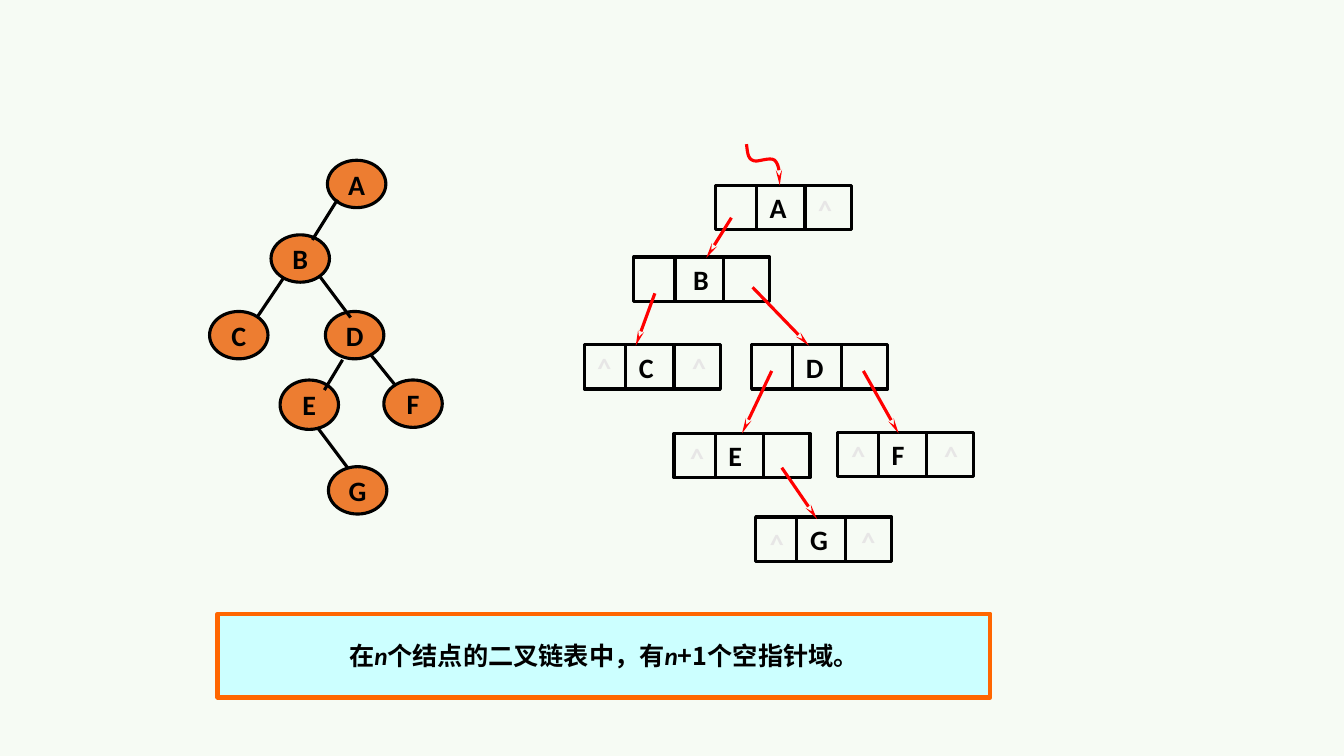
from lxml import etree
from pptx import Presentation
from pptx import util as u
from pptx.dml import color
from pptx.enum import shapes, text
from pptx.oxml import ns

PX = 9144
COLORS = {
    "back": "F6FBF4",
    "node": "ED7D31",
    "ink": "000000",
    "pointer": "FF0000",
    "null": "E7E6E6",
    "note": "CCFFFF",
    "frame": "FF6600",
}
LATIN, HAN = "Calibri", "Noto Sans CJK SC"

TREE_NODES = {
    "A": (325, 159, 47), "B": (269, 233, 47), "C": (208, 309, 47),
    "D": (323, 309, 47), "E": (278, 377, 49), "F": (381, 377, 47),
    "G": (326, 463, 47),
}
TREE_EDGES = [
    (335, 198, 310, 238), (282, 275, 255, 315), (318, 275, 348, 315),
    (340, 357, 322, 387), (368, 352, 393, 383), (315, 424, 345, 464),
]
RECORD_W, RECORD_H = 135, 44
DIVIDERS = (41, 89)
RECORDS = {
    "A": (710, 184, 54), "B": (629, 255, 59), "C": (580, 342, 54),
    "D": (746, 342, 54), "E": (669, 430, 54), "F": (831, 429, 54),
    "G": (750, 513, 54),
}
POINTERS = [
    ("B", 726, 216, 701, 256), ("C", 650, 291, 631, 343),
    ("D", 747, 285, 803, 343), ("E", 766, 368, 735, 430),
    ("F", 857, 368, 892, 430), ("G", 776, 464, 811, 515),
]
NULLS = [
    (802, 186), (583, 342), (677, 342), (675, 432),
    (835, 430), (927, 430), (754, 517), (845, 515),
]
ROOT_CURVES = [
    ((741, 143), (742, 150), (742, 157), (747, 159)),
    ((747, 159), (751, 162), (764, 155), (769, 159)),
    ((769, 159), (774, 164), (774, 174), (774, 184)),
]


def px(*values):
    return [u.Emu(round(v * PX)) for v in values]


def rgb(name):
    return color.RGBColor.from_string(COLORS[name])


def add_text(p, words, size=20, font=LATIN, ink="ink", italic=False):
    r = p.add_run()
    r.text = words
    r.font.size = u.Pt(size)
    r.font.name = font
    r.font.bold = True
    r.font.italic = italic
    r.font.color.rgb = rgb(ink)
    if font == HAN:
        etree.SubElement(r._r.rPr, ns.qn("a:ea"), typeface=font)


def prepare(tf, left=0, align=text.PP_ALIGN.CENTER):
    tf.margin_left, = px(left)
    tf.margin_right = tf.margin_top = tf.margin_bottom = 0
    tf.vertical_anchor = text.MSO_ANCHOR.MIDDLE
    tf.word_wrap = True
    p = tf.paragraphs[0]
    p.alignment = align
    return p


def set_line(sp, ink="ink", width=2.25, arrow=False):
    sp.line.color.rgb = rgb(ink)
    sp.line.width = u.Pt(width)
    if arrow:
        ln = sp.line._get_or_add_ln()
        etree.SubElement(ln, ns.qn("a:tailEnd"), type="stealth", w="sm", len="lg")


def add_box(group, kind, box, fill=None, ink="ink", width=2.25):
    sp = group.add_shape(kind, *px(*box))
    sp.shadow.inherit = False
    if fill:
        sp.fill.solid()
        sp.fill.fore_color.rgb = rgb(fill)
    else:
        sp.fill.background()
    set_line(sp, ink, width)
    return sp


def add_line(group, ends, ink="ink", arrow=False):
    line = group.add_connector(shapes.MSO_CONNECTOR.STRAIGHT, *px(*ends))
    set_line(line, ink, arrow=arrow)
    etree.SubElement(line._element.spPr, ns.qn("a:effectLst"))
    return line


def add_tree(group):
    for name, (x, y, h) in TREE_NODES.items():
        sp = add_box(group, shapes.MSO_SHAPE.OVAL, (x, y, 58, h), "node")
        add_text(prepare(sp.text_frame), name)
    for ends in TREE_EDGES:
        add_line(group, ends)


def add_record(group, name, x, y, indent):
    sp = add_box(group, shapes.MSO_SHAPE.RECTANGLE, (x, y, RECORD_W, RECORD_H))
    add_text(prepare(sp.text_frame, indent, text.PP_ALIGN.LEFT), name)
    for dx in DIVIDERS:
        add_line(group, (x + dx, y, x + dx, y + RECORD_H))
    return sp


def add_pointer(group, target, ends):
    line = add_line(group, ends, "pointer", arrow=True)
    middle = target.left + target.width / 2
    if abs(line.end_x - middle) < 2 * PX:
        line.end_connect(target, 0)


def add_null(group, x, y):
    sp = group.add_textbox(*px(x, y, 34, 44))
    add_text(prepare(sp.text_frame), "^", ink="null")


def bezier(points, t):
    weights = ((1 - t) ** 3, 3 * t * (1 - t) ** 2, 3 * t * t * (1 - t), t ** 3)
    return px(*(sum(w * v for w, v in zip(weights, axis)) for axis in zip(*points)))


def add_root_pointer(group):
    steps = 8
    points = [bezier(c, i / steps) for c in ROOT_CURVES for i in range(1, steps + 1)]
    outline = group.build_freeform(*px(*ROOT_CURVES[0][0]))
    outline.add_line_segments(points, close=False)
    sp = outline.convert_to_shape()
    sp.shadow.inherit = False
    sp.fill.background()
    set_line(sp, "pointer", arrow=True)


def add_note(group):
    sp = add_box(group, shapes.MSO_SHAPE.RECTANGLE, (216, 609, 767, 83),
                 "note", "frame", 3)
    p = prepare(sp.text_frame)
    for words in ("在", "n", "个结点的二叉链表中，有", "n", "+1个空指针域。"):
        variable = words == "n"
        add_text(p, words, 18, LATIN if variable else HAN, italic=variable)


def main():
    prs = Presentation()
    prs.slide_width, prs.slide_height = px(1334, 750)
    s = prs.slides.add_slide(prs.slide_layouts[6])
    s.background.fill.solid()
    s.background.fill.fore_color.rgb = rgb("back")

    add_tree(s.shapes.add_group_shape().shapes)
    linked = s.shapes.add_group_shape().shapes
    records = {name: add_record(linked, name, *place)
               for name, place in RECORDS.items()}
    for name, *ends in POINTERS:
        add_pointer(s.shapes, records[name], ends)
    for place in NULLS:
        add_null(s.shapes, *place)
    add_note(s.shapes)
    add_root_pointer(s.shapes)
    prs.save("out.pptx")


if __name__ == "__main__":
    main()
